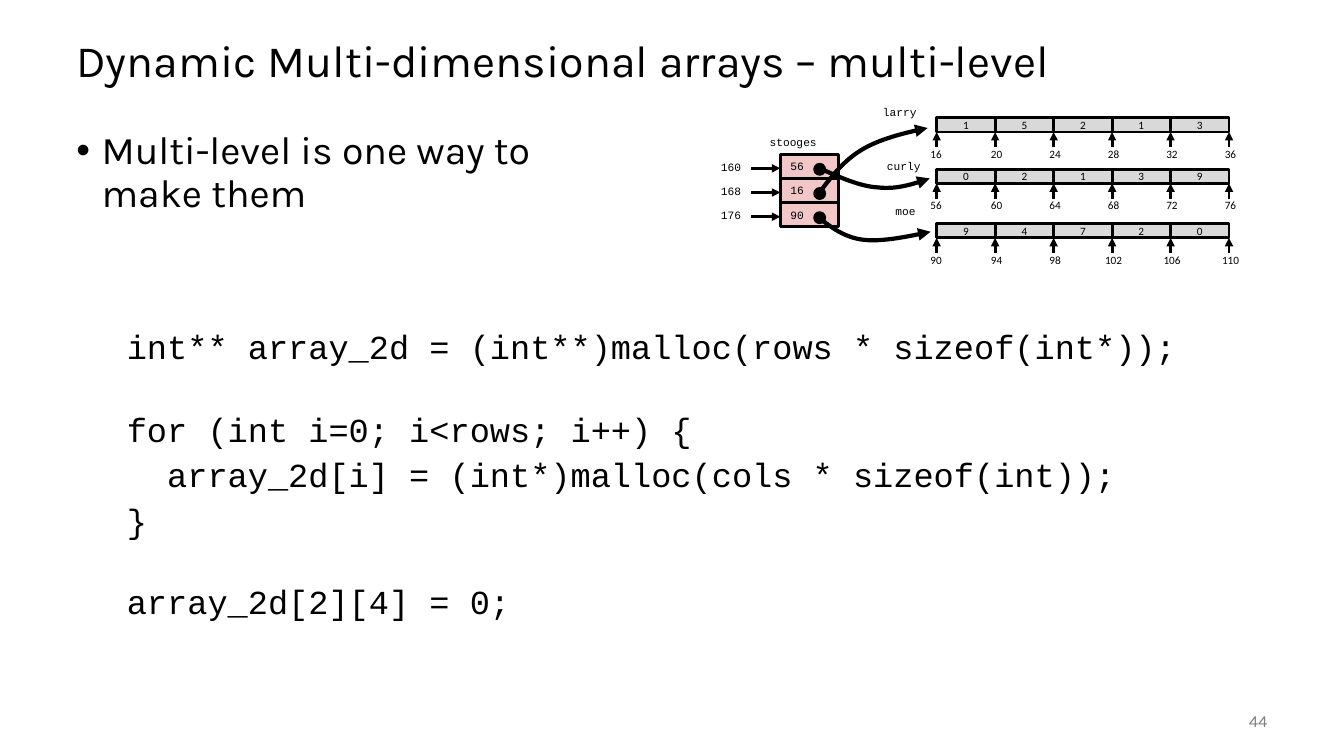
from pptx import Presentation
from pptx.dml.color import RGBColor as Rgb
from pptx.enum.shapes import MSO_CONNECTOR as Link, MSO_SHAPE as Kind
from pptx.enum.text import MSO_ANCHOR as Anchor, PP_ALIGN as Align
from pptx.oxml.ns import qn
from pptx.util import Inches, Pt
from lxml.etree import SubElement as Sub

INK = {"black": "000000", "gray": "808080", "pink": "F1C7C7", "cell": "D9D9D9"}
SANS, MONO, NUM = "Karla", "Courier New", "Calibri"


class Deck:
    """Draws styled elements on the current slide."""

    def __init__(self):
        self.show = Presentation()
        self.show.slide_width = Inches(13.33)
        self.show.slide_height = Inches(7.5)
        self.page = self.show.slides.add_slide(self.show.slide_layouts[6])
        self.shapes = self.page.shapes

    def style(self, para, face, size, ink="black", align=Align.LEFT):
        para.alignment = align
        font = para.font
        font.name, font.size = face, Pt(size)
        font.color.rgb = Rgb.from_string(INK[ink])

    def text(self, box, words, face, size, ink="black", align=Align.LEFT,
             anchor=Anchor.TOP, wrap=True, pitch=1.0):
        item = self.shapes.add_textbox(*map(Inches, box))
        frame = item.text_frame
        frame.word_wrap, frame.vertical_anchor = wrap, anchor
        para = frame.paragraphs[0]
        para.text, para.line_spacing = words, pitch
        self.style(para, face, size, ink, align)
        return frame

    def bullet(self, para, indent):
        props = para._p.get_or_add_pPr()
        props.set("marL", str(Inches(indent)))
        props.set("indent", str(-Inches(indent)))
        Sub(props, qn("a:buFont"), typeface="Arial")
        Sub(props, qn("a:buChar"), char="•")

    def code(self, frame, words, gap, indent):
        para = frame.add_paragraph()
        para._p.get_or_add_pPr().set("marL", str(Inches(indent)))
        para.text, para.line_spacing = words, 0.9
        para.space_before = Pt(gap)
        self.style(para, MONO, 24)

    def shape(self, kind, box, fill):
        item = self.shapes.add_shape(kind, *map(Inches, box))
        item.shadow.inherit = False
        item.fill.solid()
        item.fill.fore_color.rgb = Rgb.from_string(INK[fill])
        self.stroke(item, 2)
        return item

    def cell(self, box, fill, words, face, align):
        frame = self.shape(Kind.RECTANGLE, box, fill).text_frame
        frame.word_wrap, frame.vertical_anchor = False, Anchor.MIDDLE
        para = frame.paragraphs[0]
        para.text = words
        self.style(para, face, 8, align=align)

    def stroke(self, item, width, head=False):
        item.line.width = Pt(width)
        item.line.color.rgb = Rgb.from_string(INK["black"])
        if head:
            Sub(item.line._get_or_add_ln(), qn("a:tailEnd"), type="triangle")

    def arrow(self, *ends):
        item = self.shapes.add_connector(Link.STRAIGHT, *map(Inches, ends))
        self.stroke(item, 2, True)
        Sub(item._element.spPr, qn("a:effectLst"))

    def curve(self, start, *parts, steps=16):
        dots, last = [], start
        for one, two, end in parts:
            for step in range(1, steps + 1):
                t = step / steps
                u = 1 - t
                dots.append(tuple(
                    Inches(u**3 * a + 3 * u * u * t * b + 3 * u * t * t * c + t**3 * d)
                    for a, b, c, d in zip(last, one, two, end)))
            last = end
        pen = self.shapes.build_freeform(*map(Inches, start))
        pen.add_line_segments(dots, close=False)
        item = pen.convert_to_shape()
        item.shadow.inherit = False
        item.fill.background()
        self.stroke(item, 3, True)


def main():
    deck = Deck()
    deck.text((0.66, 0.25, 12, 0.75), "Dynamic Multi-dimensional arrays – multi-level",
              SANS, 32, anchor=Anchor.MIDDLE, pitch=0.9)
    body = deck.text((0.66, 1.25, 12, 5.5), "", SANS, 28, pitch=0.9)
    lead = body.paragraphs[0]
    lead._p.remove(lead._p.pPr)
    deck.bullet(lead, 0.25)
    lead.text, lead.line_spacing = "Multi-level is one way to\nmake them", 0.9
    deck.style(lead, SANS, 28)
    for words, gap in (
            ("int** array_2d = (int**)malloc(rows * sizeof(int*));", 82),
            ("for (int i=0; i<rows; i++) {", 33.4),
            ("  array_2d[i] = (int*)malloc(cols * sizeof(int));", 6.5),
            ("}", 6.5),
            ("array_2d[2][4] = 0;", 32)):
        deck.code(body, words, gap, 0.5)
    deck.text((11.67, 6.95, 1, 0.4), "44", SANS, 12, "gray", Align.RIGHT, Anchor.MIDDLE)

    left, wide, pitch = 7.74, 0.58, 0.24
    for row, (value, place) in enumerate((("56", "160"), ("16", "168"), ("90", "176"))):
        top = 1.53 + row * pitch
        deck.cell((left, top, wide, pitch), "pink", value, MONO, Align.LEFT)
        deck.arrow(left - 0.29, top + 0.14, left, top + 0.14)
        deck.text((6.9, top + 0.01, 0.55, 0.31), place, MONO, 8,
                  align=Align.RIGHT, wrap=False)
        deck.shape(Kind.OVAL, (8.08, top + 0.1, 0.1, 0.1), "black")

    for name, x, y, w in (("stooges", 7.31, 1.29, 0.89), ("larry", 8.47, 1, 0.72),
                          ("curly", 8.51, 1.53, 0.72), ("moe", 8.64, 1.98, 0.54)):
        deck.text((x, y, w, 0.31), name, MONO, 8, align=Align.RIGHT, wrap=False)

    left, tall = 9.29, 0.14
    for top, first, values in ((1.17, 16, "15213"), (1.68, 56, "02139"), (2.22, 90, "94720")):
        for col, value in enumerate(values):
            deck.cell((left + col * wide, top, wide, tall), "cell", value, NUM, Align.CENTER)
        for col in range(len(values) + 1):
            x = left + col * wide
            shift = 0.02 if col else 0
            deck.text((x + shift - 0.32, top + 0.24, 0.63, 0.31), str(first + 4 * col),
                      NUM, 8, align=Align.CENTER)
            deck.arrow(x, top + tall + 0.15, x, top + tall)

    deck.curve((8.12, 1.92), ((8.24, 1.76), (8.36, 1.6), (8.54, 1.49)),
               ((8.72, 1.38), (8.96, 1.32), (9.2, 1.27)))
    deck.curve((8.13, 1.67), ((8.33, 1.76), (8.53, 1.85), (8.71, 1.86)),
               ((8.89, 1.88), (9.05, 1.83), (9.22, 1.77)))
    deck.curve((8.12, 2.16), ((8.25, 2.26), (8.38, 2.36), (8.57, 2.38)),
               ((8.75, 2.4), (8.99, 2.35), (9.23, 2.3)))
    deck.show.save("out.pptx")


if __name__ == "__main__":
    main()
